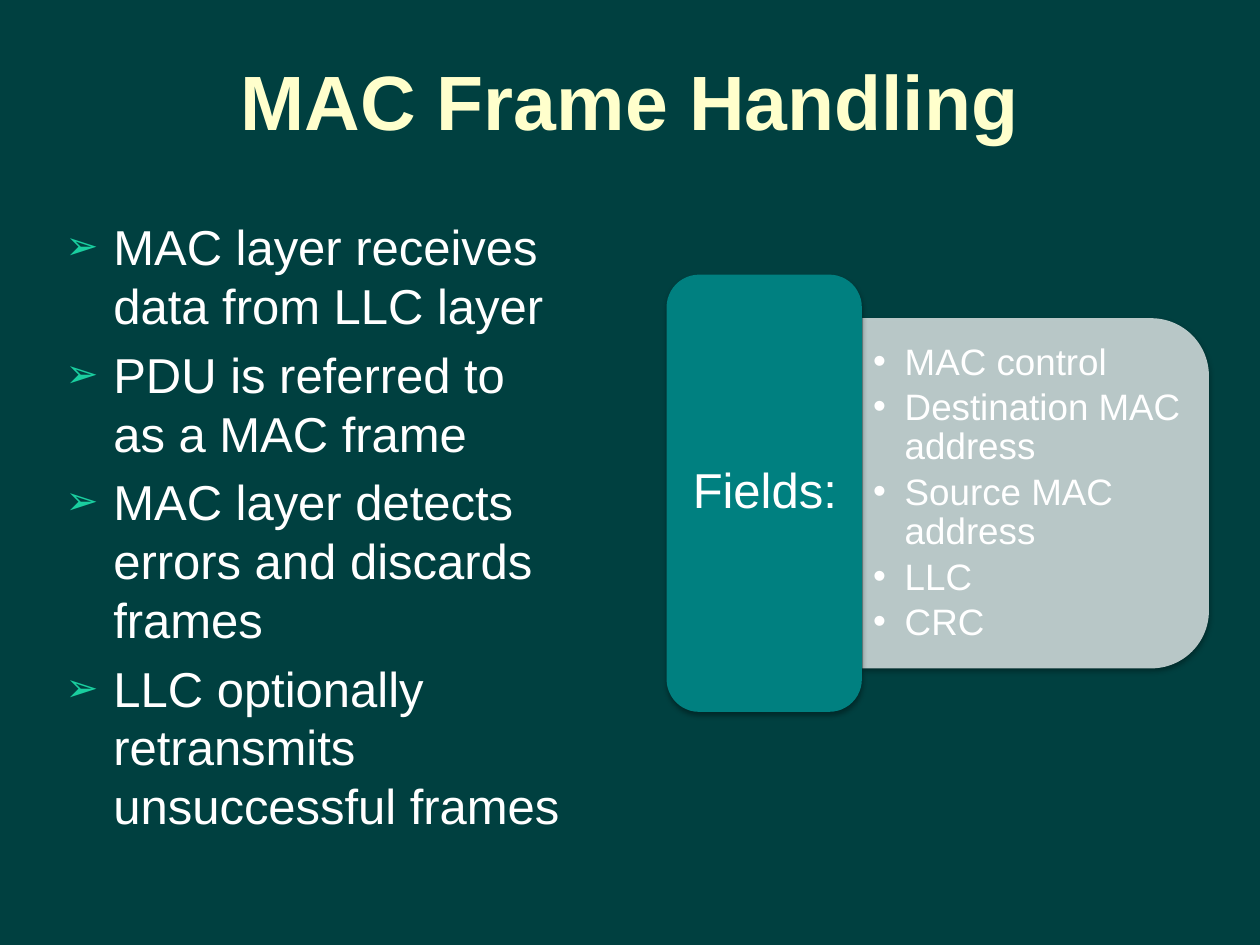
from dataclasses import dataclass

from lxml.etree import SubElement
from pptx import Presentation
from pptx.dml.color import RGBColor
from pptx.enum.shapes import MSO_SHAPE
from pptx.enum.text import MSO_ANCHOR, MSO_AUTO_SIZE, PP_ALIGN
from pptx.oxml.ns import qn
from pptx.util import Inches, Pt


@dataclass(frozen=True)
class Theme:
    font: str = "Arial"
    background: str = "004040"
    title: str = "FFFFCC"
    text: str = "FFFFFF"
    arrow: str = "1ACE9F"
    panel: str = "CCD8D8"
    label: str = "008080"
    shadow: str = "000000"
    title_size: int = 44
    body_size: int = 28
    field_size: int = 21


def box(*lengths):
    return [Inches(v) for v in lengths]


def apply(obj, formats):
    for name, value in formats.items():
        setattr(obj, name, value)


def add(parent, tag, **attrs):
    return SubElement(parent, qn(tag), {k: str(v) for k, v in attrs.items()})


class SlideBuilder:
    def __init__(self, prs, theme):
        self.theme = theme
        self.s = prs.slides.add_slide(prs.slide_layouts[1])
        self.fill(self.s.background, theme.background)

    def fill(self, obj, color):
        obj.fill.solid()
        obj.fill.fore_color.rgb = RGBColor.from_string(color)

    def place(self, sp, at):
        apply(sp, dict(zip(("left", "top", "width", "height"), box(*at))))

    def set_text(self, tf, lines, size, color=None, bold=False, anchor=MSO_ANCHOR.TOP,
                 insets=(0.1, 0.05), bullet=None, **paragraph):
        x, y = box(*insets)
        apply(tf, {"word_wrap": True, "auto_size": MSO_AUTO_SIZE.NONE,
                   "vertical_anchor": anchor, "margin_left": x, "margin_right": x,
                   "margin_top": y, "margin_bottom": y})
        for i, line in enumerate(lines):
            p = tf.add_paragraph() if i else tf.paragraphs[0]
            apply(p, paragraph)
            r = p.add_run()
            r.text = line
            apply(r.font, {"name": self.theme.font, "size": Pt(size), "bold": bold})
            r.font.color.rgb = RGBColor.from_string(color or self.theme.text)
            if bullet:
                self.bullet(p, **bullet)

    def bullet(self, p, char, indent, color, percent=100):
        pPr = p._p.get_or_add_pPr()
        pPr.set("marL", str(Inches(indent)))
        pPr.set("indent", str(-Inches(indent)))
        add(add(pPr, "a:buClr"), "a:srgbClr", val=color)
        add(pPr, "a:buSzPct", val=percent * 1000)
        add(pPr, "a:buFont", typeface=self.theme.font)
        add(pPr, "a:buChar", char=char)

    def title(self, text, at):
        sp = self.s.shapes.title
        self.place(sp, at)
        self.set_text(sp.text_frame, [text], self.theme.title_size, self.theme.title,
                      bold=True, anchor=MSO_ANCHOR.MIDDLE, alignment=PP_ALIGN.CENTER)

    def body(self, lines, at):
        sp = self.s.placeholders[1]
        self.place(sp, at)
        size = self.theme.body_size
        self.set_text(sp.text_frame, lines, size, space_before=Pt(size * 0.2),
                      bullet={"char": "➢", "indent": 0.38, "color": self.theme.arrow,
                              "percent": 80})

    def shape(self, kind, at, color, opacity=100, rotation=0):
        sp = self.s.shapes.add_shape(kind, *box(*at))
        sp.rotation = rotation
        self.fill(sp, color)
        sp.line.fill.background()
        spPr = sp._element.spPr
        if opacity < 100:
            rgb = spPr.find(qn("a:solidFill")).find(qn("a:srgbClr"))
            add(rgb, "a:alpha", val=opacity * 1000)
        shadow = add(add(spPr, "a:effectLst"), "a:outerShdw", blurRad=Pt(3.1), dist=Pt(1.8),
                     dir=90 * 60000, rotWithShape=0)
        add(add(shadow, "a:srgbClr", val=self.theme.shadow), "a:alpha", val=35000)

    def text(self, lines, at, size, **formats):
        sp = self.s.shapes.add_textbox(*box(*at))
        self.set_text(sp.text_frame, lines, size, anchor=MSO_ANCHOR.MIDDLE,
                      line_spacing=0.9, **formats)


def main():
    prs = Presentation()
    prs.slide_width, prs.slide_height = box(10, 7.5)
    theme = Theme()
    slide = SlideBuilder(prs, theme)
    slide.title("MAC Frame Handling", (0.5, 0.17, 9, 1.25))
    slide.body(["MAC layer receives data from LLC layer",
                "PDU is referred to as a MAC frame",
                "MAC layer detects errors and discards frames",
                "LLC optionally retransmits unsuccessful frames"], (0.42, 1.67, 4.17, 5.67))
    slide.shape(MSO_SHAPE.ROUND_2_SAME_RECTANGLE, (6.83, 2.54, 2.78, 2.75), theme.panel,
                opacity=90, rotation=90)
    slide.text(["MAC control", "Destination MAC address", "Source MAC address", "LLC", "CRC"],
               (6.84, 2.66, 2.62, 2.51), theme.field_size, insets=(0.09, 0.04),
               space_after=Pt(theme.field_size * 0.15),
               bullet={"char": "•", "indent": 0.25, "color": theme.text})
    slide.shape(MSO_SHAPE.ROUNDED_RECTANGLE, (5.29, 2.18, 1.55, 3.47), theme.label)
    slide.text(["Fields:"], (5.37, 2.25, 1.4, 3.32), theme.body_size, insets=(0.12, 0.06),
               alignment=PP_ALIGN.CENTER)
    prs.save("out.pptx")


if __name__ == "__main__":
    main()
